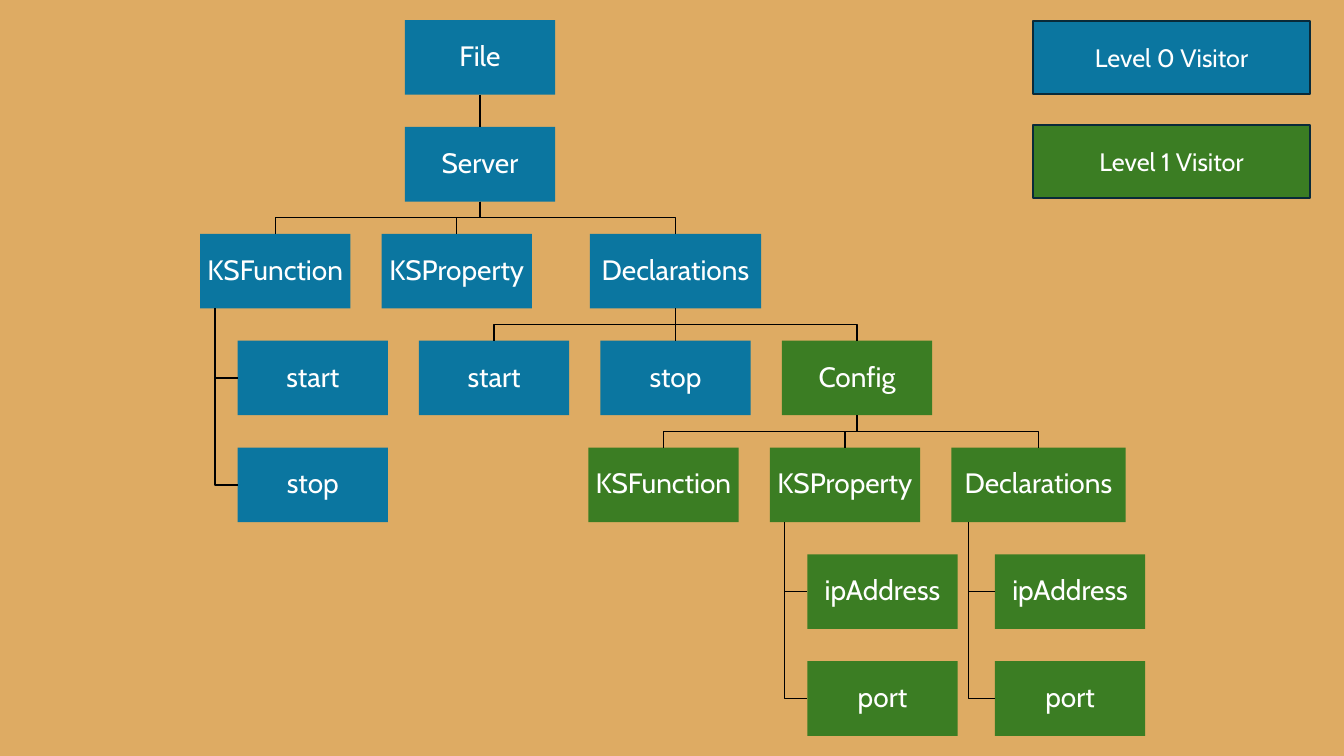
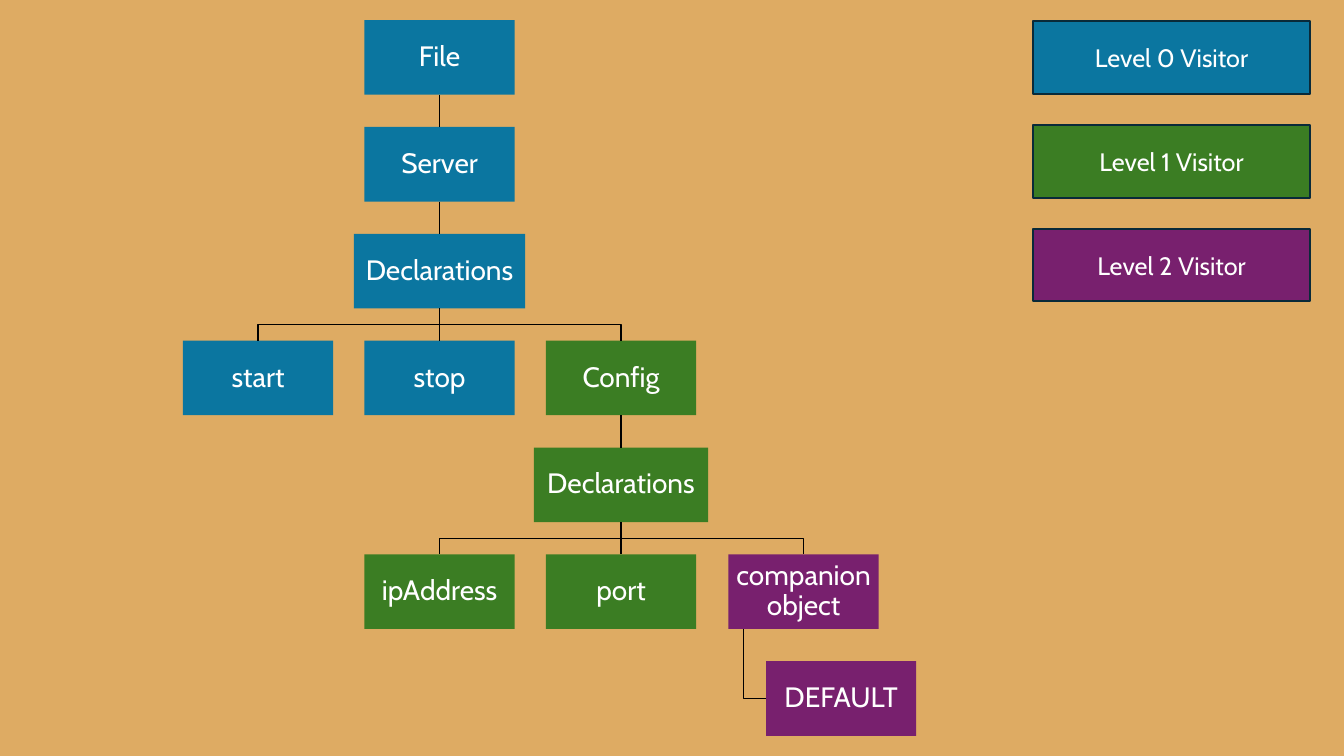
import pptx
import pptx.util
import pptx.dml.color
import pptx.enum.shapes
import pptx.enum.text
from lxml import etree

Inches = pptx.util.Inches
Pt = pptx.util.Pt

BLUE, GREEN, PURPLE = "0B76A0", "3B7D23", "78206E"
BLACK, WHITE, NAVY, SAND = "000000", "FFFFFF", "092A39", "DEAB63"
BOX_W, BOX_H = 1.49, 0.74
TOP, ROW_PITCH = 0.2, 1.06
LEGEND_PITCH = 1.03


def paint(fmt, color):
    if hasattr(fmt, "solid"):
        fmt.solid()
        fmt.fore_color.rgb = pptx.dml.color.RGBColor.from_string(color)
    else:
        fmt.color.rgb = pptx.dml.color.RGBColor.from_string(color)


def add_box(s, text, color, left, top, width, height, size, inset):
    sp = s.shapes.add_shape(pptx.enum.shapes.MSO_SHAPE.RECTANGLE,
                            Inches(left), Inches(top), Inches(width), Inches(height))
    sp.shadow.inherit = False
    paint(sp.fill, color)
    sp.line.fill.background()
    tf = sp.text_frame
    tf.word_wrap = True
    tf.vertical_anchor = pptx.enum.text.MSO_ANCHOR.MIDDLE
    tf.margin_left = tf.margin_right = tf.margin_top = tf.margin_bottom = Inches(inset)
    tf.text = text
    p = tf.paragraphs[0]
    p.alignment = pptx.enum.text.PP_ALIGN.CENTER
    r = p.runs[0]
    r.font.size = Pt(size)
    r.font.name = "Cabin"
    paint(r.font, WHITE)
    return sp


# key: (text, color, row, parent, center, width); a center of None hangs the box beside its parent
server_tree = {
    "file": ("File", BLUE, 0, None, 4.76, BOX_W),
    "server": ("Server", BLUE, 1, "file", 4.76, BOX_W),
    "fun0": ("KSFunction", BLUE, 2, "server", 2.73, BOX_W),
    "fun0 start": ("start", BLUE, 3, "fun0", None, BOX_W),
    "fun0 stop": ("stop", BLUE, 4, "fun0", None, BOX_W),
    "prop0": ("KSProperty", BLUE, 2, "server", 4.53, BOX_W),
    "decl0": ("Declarations", BLUE, 2, "server", 6.7, 1.7),
    "start": ("start", BLUE, 3, "decl0", 4.9, BOX_W),
    "stop": ("stop", BLUE, 3, "decl0", 6.7, BOX_W),
    "config": ("Config", GREEN, 3, "decl0", 8.5, BOX_W),
    "fun1": ("KSFunction", GREEN, 4, "config", 6.58, BOX_W),
    "prop1": ("KSProperty", GREEN, 4, "config", 8.38, BOX_W),
    "prop1 ip": ("ipAddress", GREEN, 5, "prop1", None, BOX_W),
    "prop1 port": ("port", GREEN, 6, "prop1", None, BOX_W),
    "decl1": ("Declarations", GREEN, 4, "config", 10.3, 1.73),
    "decl1 ip": ("ipAddress", GREEN, 5, "decl1", None, BOX_W),
    "decl1 port": ("port", GREEN, 6, "decl1", None, BOX_W),
}
companion_tree = {
    "file": ("File", BLUE, 0, None, 4.36, BOX_W),
    "server": ("Server", BLUE, 1, "file", 4.36, BOX_W),
    "decl0": ("Declarations", BLUE, 2, "server", 4.36, 1.7),
    "start": ("start", BLUE, 3, "decl0", 2.56, BOX_W),
    "stop": ("stop", BLUE, 3, "decl0", 4.36, BOX_W),
    "config": ("Config", GREEN, 3, "decl0", 6.16, BOX_W),
    "decl1": ("Declarations", GREEN, 4, "config", 6.16, 1.73),
    "ip": ("ipAddress", GREEN, 5, "decl1", 4.36, BOX_W),
    "port": ("port", GREEN, 5, "decl1", 6.16, BOX_W),
    "companion": ("companion object", PURPLE, 5, "decl1", 7.97, BOX_W),
    "default": ("DEFAULT", PURPLE, 6, "companion", None, BOX_W),
}

prs = pptx.Presentation()
prs.slide_width, prs.slide_height = Inches(13.33), Inches(7.5)
paint(prs.slide_master.background.fill, SAND)

for tree, levels in ((server_tree, [BLUE, GREEN]),
                     (companion_tree, [BLUE, GREEN, PURPLE])):
    s = prs.slides.add_slide(prs.slide_layouts[6])
    boxes = {}
    for key, (text, color, row, parent, center, width) in tree.items():
        top = TOP + row * ROW_PITCH
        if center is None:
            above, above_left, above_center, above_w, above_bottom = boxes[parent]
            left = above_left + above_w / 4
        else:
            left = center - width / 2
        sp = add_box(s, text, color, left, top, width, BOX_H, 20, 0.01)
        sp.text_frame.paragraphs[0].line_spacing = 0.9
        boxes[key] = (sp, left, center, width, top + BOX_H)
        if parent is None:
            continue

        above, above_left, above_center, above_w, above_bottom = boxes[parent]
        if center == above_center:
            link = s.shapes.add_connector(pptx.enum.shapes.MSO_CONNECTOR.STRAIGHT, 0, 0, 0, 0)
            link.begin_connect(above, 2)
            link.end_connect(sp, 0)
            etree.SubElement(link._element.spPr, pptx.oxml.ns.qn("a:effectLst"))
        else:
            if center is None:
                stem = above_left + above_w / 10
                middle = top + BOX_H / 2
                points = [(stem, above_bottom), (stem, middle), (left, middle)]
            else:
                middle = (above_bottom + top) / 2
                points = [(above_center, above_bottom), (above_center, middle),
                          (center, middle), (center, top)]
            points = [(Inches(x), Inches(y)) for x, y in points]
            fb = s.shapes.build_freeform(*points[0])
            fb.add_line_segments(points[1:], close=False)
            link = fb.convert_to_shape()
            link.fill.background()
            link.shadow.inherit = False
        paint(link.line, BLACK)
        link.line.width = Pt(1)

    for i, color in enumerate(levels):
        sp = add_box(s, f"Level {i} Visitor", color, 10.25, 0.21 + i * LEGEND_PITCH,
                     2.74, 0.72, 18, 0.05)
        paint(sp.line, NAVY)
        sp.line.width = Pt(1.5)

prs.save("out.pptx")
